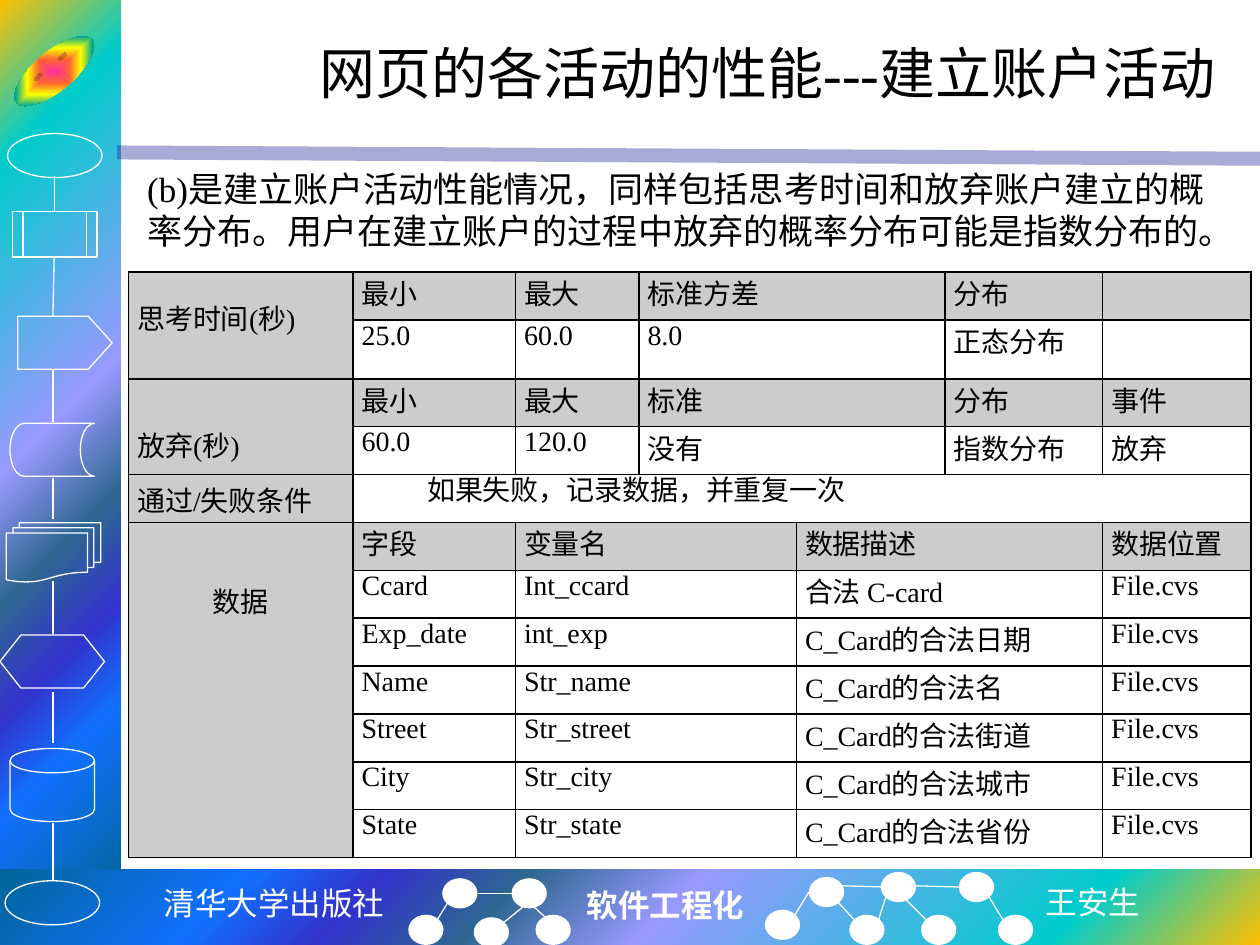
from dataclasses import dataclass

from lxml import etree
from pptx import Presentation
from pptx import util as u
from pptx.dml.color import RGBColor
from pptx.enum import shapes, text
from pptx.oxml import parse_xml
from pptx.oxml.ns import nsdecls, qn

KIND = shapes.MSO_SHAPE
ALIGN = text.PP_ALIGN


@dataclass(frozen=True)
class Theme:
    white: str = "FFFFFF"
    black: str = "000000"
    head: str = "CCCCCC"
    rule: str = "262699"
    sea: tuple = ((0, "FFC000"), (16, "00CCCC"), (47, "9999FF"), (60, "2E6792"),
                  (71, "3333CC"), (81, "1170FF"), (100, "006699"))
    face: tuple = ((0, "FF3399"), (25, "FF6633"), (50, "FFFF00"),
                   (75, "01A78F"), (100, "3366FF"))
    serif: str = "Times New Roman"
    mono: str = "DejaVu Sans Mono"
    sans: str = "Noto Sans CJK SC"
    title: int = 32
    body: int = 20
    foot: int = 18
    cell: int = 16
    thin: float = 0.75


T = Theme()


def rgb(code):
    return RGBColor.from_string(code)


def box(slide, kind, x, y, w, h, fill=None, line=None):
    shape = slide.shapes.add_shape(kind, *map(u.Inches, (x, y, w, h)))
    shape.shadow.inherit = False
    if fill:
        shape.fill.solid()
        shape.fill.fore_color.rgb = rgb(fill)
    else:
        shape.fill.background()
    if line:
        shape.line.color.rgb = rgb(line)
        shape.line.width = u.Pt(T.thin)
    else:
        shape.line.fill.background()
    return shape


def blend(shape, stops, path, focus):
    """Swap the empty fill for a gradient that spreads from the focus."""
    steps = "".join(f'<a:gs pos="{p * 1000}"><a:srgbClr val="{c}"/></a:gs>'
                    for p, c in stops)
    rect = " ".join(f'{side}="{v * 1000}"' for side, v in zip("ltrb", focus))
    grad = parse_xml(f'<a:gradFill {nsdecls("a")} rotWithShape="1"><a:gsLst>{steps}</a:gsLst>'
                     f'<a:path path="{path}"><a:fillToRect {rect}/></a:path></a:gradFill>')
    props = shape.element.spPr
    props.replace(props.find(qn("a:noFill")), grad)


def link(slide, x1, y1, x2, y2, color=T.white, width=T.thin):
    line = slide.shapes.add_connector(shapes.MSO_CONNECTOR.STRAIGHT,
                                      *map(u.Inches, (x1, y1, x2, y2)))
    line.line.color.rgb = rgb(color)
    line.line.width = u.Pt(width)
    etree.SubElement(line.element.spPr, qn("a:effectLst"))
    return line


def style(para, size, font=T.serif, color=T.black, bold=False, align=None):
    para.alignment = align
    para.font.size = u.Pt(size)
    para.font.name = font
    para.font.bold = bold
    para.font.color.rgb = rgb(color)


def label(slide, words, x, y, w, h, size, wrap=True, middle=False, **look):
    frame = slide.shapes.add_textbox(*map(u.Inches, (x, y, w, h))).text_frame
    frame.word_wrap = wrap
    if middle:
        frame.vertical_anchor = text.MSO_ANCHOR.MIDDLE
    frame.text = words
    style(frame.paragraphs[0], size, **look)


def border(cell):
    props = cell._tc.get_or_add_tcPr()
    for place, side in enumerate(("lnL", "lnR", "lnT", "lnB")):
        props.insert(place, parse_xml(
            f'<a:{side} {nsdecls("a")} w="12700"><a:solidFill>'
            f'<a:srgbClr val="{T.black}"/></a:solidFill></a:{side}>'))


def fill_cell(cell, words, shade, top=0, align=ALIGN.JUSTIFY):
    cell.margin_left = cell.margin_right = u.Inches(0.07)
    cell.margin_top, cell.margin_bottom = u.Inches(top), 0
    cell.text = words
    style(cell.text_frame.paragraphs[0], T.cell, align=align)
    if shade:
        cell.fill.solid()
        cell.fill.fore_color.rgb = rgb(T.head)


def sidebar(slide):
    # Gradient bands and the rule under the title
    blend(box(slide, KIND.RECTANGLE, 0, 0, 0.96, 7.09), T.sea, "circle", (0, 0, 100, 100))
    blend(box(slide, KIND.RECTANGLE, 0, 6.9, 10, 0.6), T.sea, "circle", (100, 100, 0, 0))
    rule = link(slide, 0.93, 1.21, 10, 1.26, T.rule, 8)
    tint = rule.element.spPr.find(".//" + qn("a:srgbClr"))
    etree.SubElement(tint, qn("a:alpha"), val="39000")

    # Flowchart steps
    for kind, *place in (
            (KIND.OVAL, 0.06, 1.06, 0.75, 0.35),
            (KIND.FLOWCHART_PREDEFINED_PROCESS, 0.1, 1.68, 0.67, 0.36),
            (KIND.PENTAGON, 0.14, 2.51, 0.75, 0.42),
            (KIND.FLOWCHART_STORED_DATA, 0.08, 3.36, 0.67, 0.42),
            (KIND.FLOWCHART_MULTIDOCUMENT, 0.05, 4.15, 0.75, 0.47),
            (KIND.FLOWCHART_PREPARATION, 0, 5.04, 0.83, 0.42),
            (KIND.FLOWCHART_MAGNETIC_DISK, 0.08, 5.94, 0.67, 0.58),
            (KIND.OVAL, 0.04, 6.99, 0.75, 0.35)):
        step = box(slide, kind, *place, line=T.white)
        if kind == KIND.PENTAGON:
            step.adjustments[0] = 0.45
    for top, end in ((1.4, 1.68), (2.05, 2.51), (2.93, 3.35), (3.79, 4.12),
                     (4.61, 5.03), (5.49, 5.9), (6.53, 6.99)):
        link(slide, 0.43 if top < 2.5 else 0.42, top, 0.43 if top < 2 else 0.42, end)

    # Tilted face
    face = box(slide, KIND.SMILEY_FACE, 0.04, 0.41, 0.78, 0.31)
    face.rotation = -40
    blend(face, T.face, "shape", (50, 50, 50, 50))


def footer(slide):
    label(slide, "清华大学出版社", 1.19, 6.97, 1.97, 0.4, T.foot, wrap=False,
          font=T.mono, color=T.white, align=ALIGN.CENTER)
    label(slide, "软件工程化", 4.56, 6.98, 1.46, 0.4, T.foot, wrap=False,
          color=T.white, bold=True)
    label(slide, "王安生", 8.2, 6.96, 0.96, 0.4, T.foot, wrap=False,
          font=T.sans, color=T.white)

    # Two small trees
    for x, y in ((3.51, 6.97), (4.06, 6.97), (3.24, 7.26), (3.76, 7.28), (4.25, 7.26),
                 (6.42, 6.96), (6.99, 6.92), (7.61, 6.92), (6.07, 7.22), (6.74, 7.26),
                 (7.31, 7.26), (7.92, 7.26)):
        box(slide, KIND.OVAL, x, y, 0.28, 0.24, fill=T.white)
    for ends in ((3.47, 7.3, 3.55, 7.17), (4, 7.32, 4.16, 7.19), (4.06, 7.09, 3.79, 7.09),
                 (4.34, 7.29, 4.24, 7.2), (6.78, 7.3, 6.65, 7.16), (7.35, 7.3, 7.15, 7.1),
                 (7.96, 7.3, 7.85, 7.12), (6.97, 7.31, 7.03, 7.12), (7.26, 7.03, 7.61, 7.04),
                 (6.31, 7.26, 6.42, 7.08), (6.68, 7.03, 7.03, 7.04)):
        link(slide, *ends)


def grid(slide):
    wide = (1.78, 1.29, 0.98, 1.25, 1.18, 1.25, 1.18)
    tall = [0.38] * 12
    tall[1] = 0.46
    table = slide.shapes.add_table(12, 7, *map(u.Inches, (1.02, 2.16, sum(wide), sum(tall)))).table
    table.first_row = table.horz_banding = False
    for col, w in zip(table.columns, wide):
        col.width = u.Inches(w)
    for row, h in zip(table.rows, tall):
        row.height = u.Inches(h)
    for cell in table.iter_cells():
        cell.fill.background()
        border(cell)

    # Merged areas: row, column, last row, last column
    for r, c, r2, c2 in ([(0, 0, 1, 0), (2, 0, 3, 0), (5, 0, 11, 0), (4, 1, 4, 6)]
                         + [(r, 3, r, 4) for r in range(4)]
                         + [(r, c, r, c + 1) for r in range(5, 12) for c in (2, 4)]):
        table.cell(r, c).merge(table.cell(r2, c2))

    # Times in rows 0 to 3, fields from row 5 on
    times = (("最小", "最大", "标准方差", "分布", ""),
             ("25.0", "60.0", "8.0", "正态分布", ""),
             ("最小", "最大", "标准", "分布", "事件"),
             ("60.0", "120.0", "没有", "指数分布", "放弃"))
    for r, line in enumerate(times):
        for c, words in zip((1, 2, 3, 5, 6), line):
            fill_cell(table.cell(r, c), words, r % 2 == 0)
    fields = [("字段", "变量名", "数据描述", "数据位置")]
    fields += [(*line, "File.cvs") for line in (
        ("Ccard", "Int_ccard", "合法 C-card"),
        ("Exp_date", "int_exp", "C_Card的合法日期"),
        ("Name", "Str_name", "C_Card的合法名"),
        ("Street", "Str_street", "C_Card的合法街道"),
        ("City", "Str_city", "C_Card的合法城市"),
        ("State", "Str_state", "C_Card的合法省份"))]
    for r, line in enumerate(fields, 5):
        for c, words in zip((1, 2, 4, 6), line):
            fill_cell(table.cell(r, c), words, r == 5)

    # Row heads
    for r, words, top, align in ((0, "思考时间(秒)", 0.2, ALIGN.JUSTIFY),
                                 (2, "放弃(秒)", 0.2, ALIGN.JUSTIFY),
                                 (4, "通过/失败条件", 0.04, ALIGN.JUSTIFY),
                                 (5, "数据", 0.46, ALIGN.CENTER)):
        fill_cell(table.cell(r, 0), words, True, top, align)
    table.cell(2, 0).text_frame.paragraphs[0].line_spacing = 1.5

    # Pass or fail rule
    fill_cell(table.cell(4, 1), "如果失败，记录数据，并重复一次", False, 0.04)
    para = table.cell(4, 1).text_frame.paragraphs[0]
    para.line_spacing = u.Pt(16.6)
    props = para._p.get_or_add_pPr()
    props.set("marL", str(u.Inches(0.28)))
    props.set("indent", str(u.Inches(0.24)))


def main():
    deck = Presentation()
    deck.slide_width, deck.slide_height = u.Inches(10), u.Inches(7.5)
    slide = deck.slides.add_slide(deck.slide_layouts[6])
    sidebar(slide)
    footer(slide)
    label(slide, "网页的各活动的性能---建立账户活动", 1.25, 0.17, 8.5, 0.81, T.title,
          middle=True, align=ALIGN.RIGHT)
    label(slide, "(b)是建立账户活动性能情况，同样包括思考时间和放弃账户建立的概率分布。"
          "用户在建立账户的过程中放弃的概率分布可能是指数分布的。",
          1.07, 1.28, 8.85, 0.77, T.body)
    grid(slide)
    deck.save("out.pptx")


if __name__ == "__main__":
    main()
